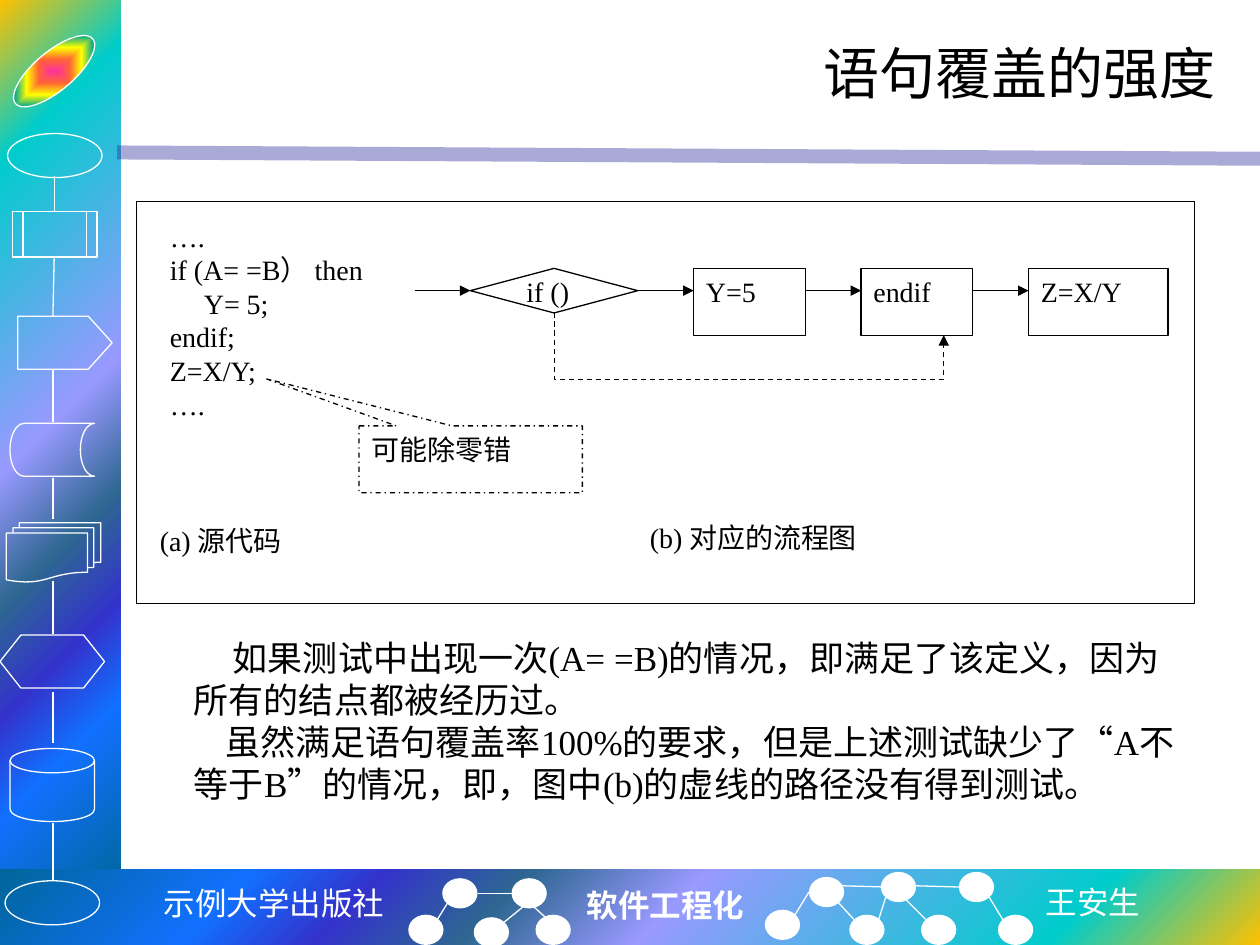
"""Build the statement coverage slide: sidebar, footer, flow diagram and explanation."""
from lxml.etree import SubElement
from pptx import Presentation
from pptx.dml.color import RGBColor
from pptx.enum.dml import MSO_LINE
from pptx.enum.lang import MSO_LANGUAGE_ID
from pptx.enum.shapes import MSO_CONNECTOR, MSO_SHAPE
from pptx.enum.text import MSO_ANCHOR, PP_ALIGN
from pptx.oxml import parse_xml
from pptx.oxml.ns import nsdecls, qn
from pptx.util import Inches, Pt

WHITE = RGBColor(0xFF, 0xFF, 0xFF)
BLACK = RGBColor(0, 0, 0)
RULE_BLUE = RGBColor(0x26, 0x26, 0x99)
SERIF = "Times New Roman"
HORIZON = [(0, "FFC000"), (16, "00CCCC"), (47, "9999FF"), (60, "2E6792"),
           (71, "3333CC"), (81, "1170FF"), (100, "006699")]
RAINBOW = [(0, "FF3399"), (25, "FF6633"), (50, "FFFF00"), (75, "01A78F"), (100, "3366FF")]

presentation = Presentation()
presentation.slide_width, presentation.slide_height = Inches(10), Inches(7.5)
slide = presentation.slides.add_slide(presentation.slide_layouts[5])
shapes = slide.shapes


def write_text(shape, text, size=16, font=SERIF, color=BLACK, bold=False,
               align=PP_ALIGN.LEFT, anchor=MSO_ANCHOR.TOP, wrap=True, indents=()):
    frame = shape.text_frame
    frame.text = text
    frame.word_wrap = wrap
    frame.vertical_anchor = anchor
    for number, paragraph in enumerate(frame.paragraphs):
        paragraph.alignment = align
        if number < len(indents):
            paragraph._p.get_or_add_pPr().set("indent", str(Inches(indents[number])))
        for run in paragraph.runs:
            run.font.name, run.font.size, run.font.bold = font, Pt(size), bold
            run.font.color.rgb = color
            run.font.language_id = MSO_LANGUAGE_ID.SIMPLIFIED_CHINESE


def add_figure(kind, left, top, width, height, line=BLACK, fill=None, weight=0.75):
    shape = shapes.add_shape(kind, *map(Inches, (left, top, width, height)))
    shape.shadow.inherit = False
    if fill is None:
        shape.fill.background()
    else:
        shape.fill.solid()
        shape.fill.fore_color.rgb = fill
    if line is None:
        shape.line.fill.background()
    else:
        shape.line.color.rgb = line
        shape.line.width = Pt(weight)
    return shape


title = shapes.title
title.left, title.top, title.width, title.height = map(Inches, (1.25, 0.17, 8.5, 0.81))
write_text(title, "语句覆盖的强度", size=32, align=PP_ALIGN.RIGHT, anchor=MSO_ANCHOR.MIDDLE)

for kind, box, line, angle, stops, path, focus in [
    (MSO_SHAPE.RECTANGLE, (0, 0, 0.96, 7.09), None, 0, HORIZON, "circle", (0, 0, 100, 100)),
    (MSO_SHAPE.RECTANGLE, (0, 6.9, 10, 0.6), None, 0, HORIZON, "circle", (100, 100, 0, 0)),
    (MSO_SHAPE.OVAL, (0.03, 0.41, 0.8, 0.31), WHITE, -40, RAINBOW, "rect", (50, 50, 50, 50)),
]:
    band = add_figure(kind, *box, line=line)
    band.rotation = angle
    stop_xml = "".join(f'<a:gs pos="{place * 1000}"><a:srgbClr val="{color}"/></a:gs>'
                       for place, color in stops)
    edges = " ".join(f'{side}="{share * 1000}"' for side, share in zip("ltrb", focus))
    properties = band.element.spPr
    properties.replace(properties.find(qn("a:noFill")), parse_xml(
        f'<a:gradFill {nsdecls("a")} rotWithShape="1"><a:gsLst>{stop_xml}</a:gsLst>'
        f'<a:path path="{path}"><a:fillToRect {edges}/></a:path></a:gradFill>'))

for kind, *box in [
    (MSO_SHAPE.OVAL, 0.06, 1.06, 0.75, 0.35),
    (MSO_SHAPE.FLOWCHART_PREDEFINED_PROCESS, 0.1, 1.68, 0.67, 0.36),
    (MSO_SHAPE.PENTAGON, 0.14, 2.51, 0.75, 0.42),
    (MSO_SHAPE.FLOWCHART_STORED_DATA, 0.08, 3.36, 0.67, 0.42),
    (MSO_SHAPE.FLOWCHART_MULTIDOCUMENT, 0.05, 4.15, 0.75, 0.47),
    (MSO_SHAPE.FLOWCHART_PREPARATION, 0, 5.04, 0.83, 0.42),
    (MSO_SHAPE.FLOWCHART_MAGNETIC_DISK, 0.08, 5.94, 0.67, 0.58),
    (MSO_SHAPE.OVAL, 0.04, 6.99, 0.75, 0.35),
]:
    symbol = add_figure(kind, *box, line=WHITE)
    if kind == MSO_SHAPE.PENTAGON:
        symbol.adjustments[0] = 0.45

for left, top in [(3.51, 6.97), (4.06, 6.97), (3.24, 7.26), (3.76, 7.28), (4.25, 7.26),
                  (6.42, 6.96), (6.99, 6.92), (7.61, 6.92), (6.07, 7.22), (6.74, 7.26),
                  (7.31, 7.26), (7.92, 7.26)]:
    add_figure(MSO_SHAPE.OVAL, left, top, 0.28, 0.24, line=None, fill=WHITE)

for text, left, top, width, style in [
    ("示例大学出版社", 1.19, 6.97, 1.97, {"font": "Noto Sans Mono", "align": PP_ALIGN.CENTER}),
    ("软件工程化", 4.56, 6.98, 1.46, {"bold": True}),
    ("王安生", 8.2, 6.96, 0.96, {"font": "Noto Sans CJK SC"}),
]:
    label = shapes.add_textbox(*map(Inches, (left, top, width, 0.4)))
    write_text(label, text, size=18, color=WHITE, wrap=False, **style)

COLUMN, ROW = 0.443, 0.177
flow_left, flow_top = 3.29, 2.13
arrow_y = flow_top + ROW
node_lefts = [flow_left + COLUMN * step for step in (1, 5, 8, 11)]

add_figure(MSO_SHAPE.RECTANGLE, 1.08, 1.6, 8.4, 3.19, weight=0.25)
add_figure(MSO_SHAPE.FLOWCHART_DECISION, node_lefts[0], flow_top, 3 * COLUMN, 2 * ROW)
for text, left, width in zip(("Y=5", "endif", "Z=X/Y"), node_lefts[1:], (2, 2, 2.5)):
    node = add_figure(MSO_SHAPE.RECTANGLE, left, flow_top, width * COLUMN, 3 * ROW)
    write_text(node, text)

callout = add_figure(MSO_SHAPE.RECTANGULAR_CALLOUT, 2.85, 3.38, 4 * COLUMN, 3 * ROW)
callout.adjustments[0], callout.adjustments[1] = -0.916, -1.204
callout.line.dash_style = MSO_LINE.DASH_DOT
write_text(callout, "可能除零错")

source_code = "….\nif (A= =B） then\nY= 5;\nendif;\nZ=X/Y;\n…."
explanation = ("如果测试中出现一次(A= =B)的情况，即满足了该定义，因为所有的结点都被经历过。\n"
               "虽然满足语句覆盖率100%的要求，但是上述测试缺少了“A不等于B”的情况，"
               "即，图中(b)的虚线的路径没有得到测试。")
for text, box, style in [
    (source_code, (1.25, 1.69, 1.99, 2.48), {"indents": (0, 0, 0.27)}),
    ("if ()", (4.08, 2.13, 1.11, 0.53), {}),
    ("(a) 源代码", (1.17, 4.11, 1.77, 0.53), {}),
    ("(b) 对应的流程图", (5.06, 4.08, 2.43, 0.53), {}),
    (explanation, (1.44, 5, 7.98, 1.45), {"size": 20, "indents": (0.31, 0.25)}),
]:
    write_text(shapes.add_textbox(*map(Inches, box)), text, **style)

sidebar_links = [(0.43, 1.4, 0.43, 1.68), (0.43, 2.05, 0.42, 2.51)] + [
    (0.42, start, 0.42, end) for start, end in
    [(2.93, 3.35), (3.79, 4.12), (4.61, 5.03), (5.49, 5.9), (6.53, 6.99)]]
tree_links = [
    (3.47, 7.3, 3.55, 7.17), (4, 7.32, 4.16, 7.19), (4.06, 7.09, 3.79, 7.09),
    (4.34, 7.29, 4.24, 7.2), (6.78, 7.3, 6.65, 7.16), (7.35, 7.3, 7.15, 7.1),
    (7.96, 7.3, 7.85, 7.12), (6.97, 7.31, 7.03, 7.12), (7.26, 7.03, 7.61, 7.04),
    (6.31, 7.26, 6.42, 7.08), (6.68, 7.03, 7.03, 7.04)]
flow_arrows = [(left - COLUMN, arrow_y, left, arrow_y) for left in node_lefts]

for links, color, weight in [([(0.93, 1.21, 10, 1.26)], RULE_BLUE, 8),
                             (sidebar_links + tree_links, WHITE, 0.75),
                             (flow_arrows, BLACK, 0.75)]:
    for ends in links:
        link = shapes.add_connector(MSO_CONNECTOR.STRAIGHT, *map(Inches, ends))
        link.line.color.rgb = color
        link.line.width = Pt(weight)
        properties = link.element.spPr
        if color == RULE_BLUE:
            SubElement(properties.find(".//" + qn("a:srgbClr")), qn("a:alpha"), val="39000")
        if color == BLACK:
            SubElement(properties.find(qn("a:ln")), qn("a:tailEnd"), type="triangle")
        SubElement(properties, qn("a:effectLst"))

outline = shapes.build_freeform(Inches(4.4), Inches(2.48))
outline.add_line_segments([(Inches(x), Inches(y)) for x, y in
                           [(4.4, 3.01), (7.49, 3.01), (7.49, 2.66)]], close=False)
bypass = outline.convert_to_shape()
bypass.shadow.inherit = False
bypass.fill.background()
bypass.line.color.rgb = BLACK
bypass.line.width = Pt(0.75)
bypass.line.dash_style = MSO_LINE.DASH
SubElement(bypass.element.spPr.find(qn("a:ln")), qn("a:tailEnd"), type="triangle")

presentation.save("out.pptx")
